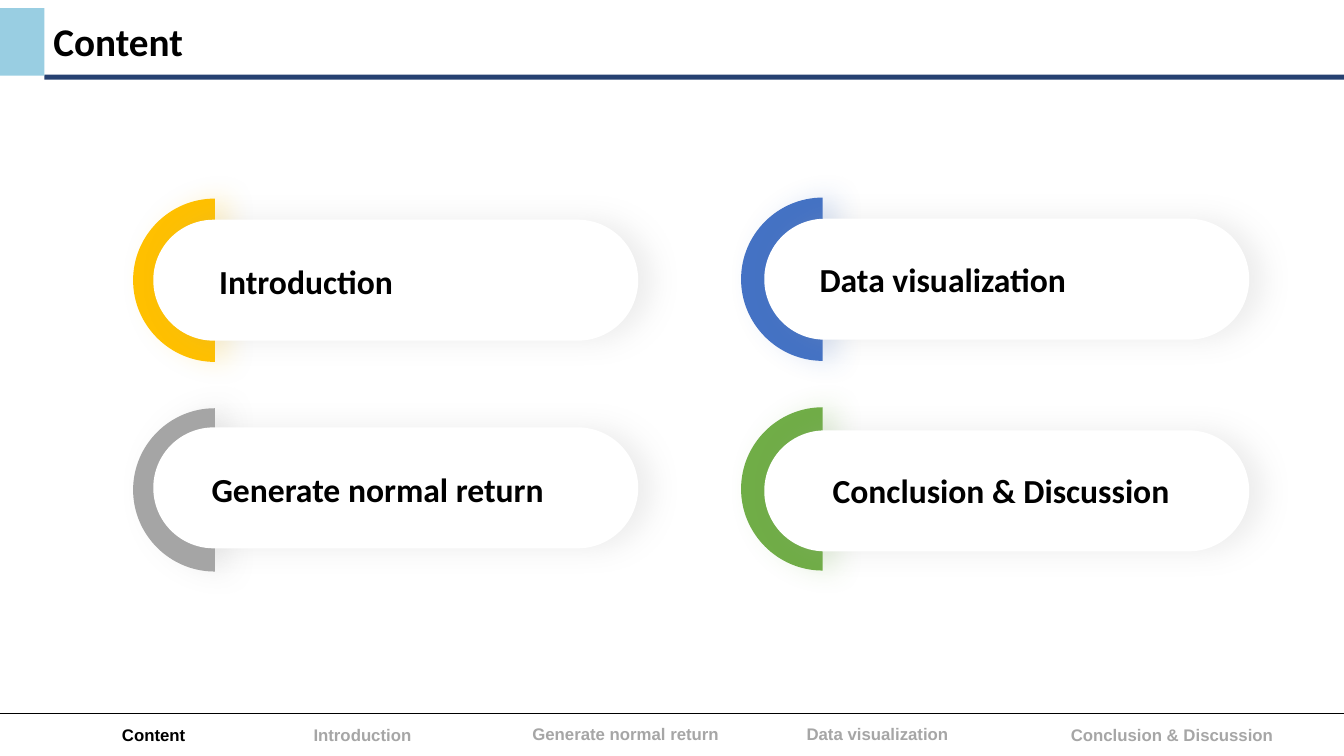
from lxml.etree import SubElement
from pptx import Presentation
from pptx.dml.color import RGBColor
from pptx.enum.shapes import MSO_SHAPE as Shape
from pptx.enum.text import MSO_ANCHOR as Anchor, MSO_AUTO_SIZE as AutoSize, PP_ALIGN as Align
from pptx.oxml.ns import qn
from pptx.util import Inches, Pt

BLACK = RGBColor(0x00, 0x00, 0x00)
WHITE = RGBColor(0xFF, 0xFF, 0xFF)
NAVY = RGBColor(0x26, 0x41, 0x71)
SKY = RGBColor(0x99, 0xCE, 0xE2)
MUTED = RGBColor(0xA6, 0xA6, 0xA6)
GOLD = RGBColor(0xFF, 0xC0, 0x00)
GRAY = RGBColor(0xA5, 0xA5, 0xA5)
BLUE = RGBColor(0x44, 0x72, 0xC4)
GREEN = RGBColor(0x70, 0xAD, 0x47)

SLIDE_W, SLIDE_H = 13.33, 7.5
ARC_RADIUS = 0.81
CURVE = 0.55  # handle length of a quarter circle, as a share of its radius
PILL_W, PILL_H = 4.81, 1.2

# Label, arc colour, arc left and top, pill offset (x, y), label offset (x, y) and width
CARDS = [
    (" Introduction", GOLD, (1.32, 1.97), (0.2, 0.21), (0.68, 0.57), 2.36),
    ("Generate normal return", GRAY, (1.32, 4.05), (0.2, 0.19), (0.68, 0.55), 3.73),
    ("Data visualization", BLUE, (7.35, 1.96), (0.23, 0.21), (0.68, 0.56), 3.9),
    ("Conclusion & Discussion", GREEN, (7.35, 4.04), (0.23, 0.23), (0.81, 0.57), 3.93),
]

# Section, left, top and width
SECTIONS = [
    ("Content", 1.21, 7.18, 1.37),
    ("Introduction", 3.11, 7.18, 1.37),
    ("Generate normal return", 5.28, 7.17, 1.93),
    ("Data visualization", 8, 7.17, 1.8),
    ("Conclusion & Discussion", 10.62, 7.18, 2.05),
]


def paint(shape, color):
    """Give a shape a flat fill without line or shadow."""
    shape.shadow.inherit = False
    shape.fill.solid()
    shape.fill.fore_color.rgb = color
    shape.line.fill.background()


def add_glow(shape, color):
    """Add a soft shadow that falls to the right."""
    effects = shape._element.spPr.find(qn("a:effectLst"))
    shadow = SubElement(effects, qn("a:outerShdw"), blurRad=str(Pt(20)),
                        dist=str(Pt(10)), dir="0", algn="ctr", rotWithShape="0")
    tint = SubElement(shadow, qn("a:srgbClr"), val=str(color))
    SubElement(tint, qn("a:alpha"), val="20000")


def add_block(slide, kind, left, top, width, height, color):
    """Add a flat preset shape."""
    block = slide.shapes.add_shape(kind, Inches(left), Inches(top), Inches(width), Inches(height))
    paint(block, color)
    return block


def write(frame, text, font, size, color):
    """Write one bold run into a text frame."""
    frame.word_wrap = True
    frame.auto_size = AutoSize.NONE
    paragraph = frame.paragraphs[0]
    paragraph.alignment = Align.LEFT
    run = paragraph.add_run()
    run.text = text
    run.font.name, run.font.size, run.font.bold = font, Pt(size), True
    run.font.color.rgb = color


def add_header(slide, left, top, width):
    """Place the title with its side block and rule."""
    title = slide.shapes.title
    title.left, title.top = Inches(left + 0.43), Inches(top + 0.04)
    title.width, title.height = Inches(width - 0.87), Inches(0.57)
    title.text_frame.vertical_anchor = Anchor.MIDDLE
    write(title.text_frame, "Content", "Calibri", 28, BLACK)
    add_block(slide, Shape.RECTANGLE, left + 0.44, top + 0.66, width - 0.34, 0.05, NAVY)
    add_block(slide, Shape.RECTANGLE, left, top, 0.44, 0.67, SKY)


def bend(shape):
    """Turn each three line segments of a freeform into one Bezier curve."""
    segments = list(shape._element.iter(qn("a:lnTo")))
    for start in range(0, len(segments), 3):
        curve = segments[start]
        curve.tag = qn("a:cubicBezTo")
        for segment in segments[start + 1:start + 3]:
            curve.append(segment[0])
            segment.getparent().remove(segment)


def add_arc(slide, left, top, color):
    """Draw the left half of a disc from two quarter curves."""
    radius, handle = ARC_RADIUS, ARC_RADIUS * CURVE
    offsets = [(radius, 0), (radius - handle, 0), (0, radius - handle), (0, radius),
               (0, radius + handle), (radius - handle, 2 * radius), (radius, 2 * radius)]
    points = [(Inches(left + x), Inches(top + y)) for x, y in offsets]
    builder = slide.shapes.build_freeform(*points[0])
    builder.add_line_segments(points[1:], close=True)
    arc = builder.convert_to_shape()
    bend(arc)
    paint(arc, color)
    add_glow(arc, color)


def add_card(slide, label, color, corner, pill_offset, label_offset, label_width):
    """Place one agenda card: coloured arc, white pill and label."""
    left, top = corner
    add_arc(slide, left, top, color)
    pill = add_block(slide, Shape.ROUNDED_RECTANGLE, left + pill_offset[0],
                     top + pill_offset[1], PILL_W, PILL_H, WHITE)
    pill.adjustments[0] = 0.5
    add_glow(pill, MUTED)
    caption = slide.shapes.add_textbox(Inches(left + label_offset[0]), Inches(top + label_offset[1]),
                                       Inches(label_width), Inches(0.5))
    caption.text_frame.vertical_anchor = Anchor.MIDDLE
    write(caption.text_frame, label, "Calibri", 24, BLACK)


def add_footer(slide, top, height, current):
    """Place the rule at the base of its band, and section names, the current one in black."""
    base = Inches(top + height)
    builder = slide.shapes.build_freeform(0, Inches(top))
    builder.move_to(0, base)
    builder.add_line_segments([(Inches(SLIDE_W), base)], close=False)
    rule = builder.convert_to_shape()
    rule.shadow.inherit = False
    rule.fill.background()
    rule.line.color.rgb = BLACK
    rule.line.width = Pt(0.75)
    for section, left, label_top, width in SECTIONS:
        frame = slide.shapes.add_textbox(Inches(left), Inches(label_top),
                                         Inches(width), Inches(0.22)).text_frame
        frame.margin_left = frame.margin_right = frame.margin_bottom = 0
        frame.margin_top = Inches(0.01)
        write(frame, section, "Arial", 12, BLACK if section == current else MUTED)


def build():
    """Build the agenda slide."""
    deck = Presentation()
    deck.slide_width, deck.slide_height = Inches(SLIDE_W), Inches(SLIDE_H)
    slide = deck.slides.add_slide(deck.slide_layouts[5])
    add_header(slide, 0, 0.08, SLIDE_W)
    add_footer(slide, 6.92, 0.16, "Content")
    for card in CARDS:
        add_card(slide, *card)
    deck.save("out.pptx")


build()
